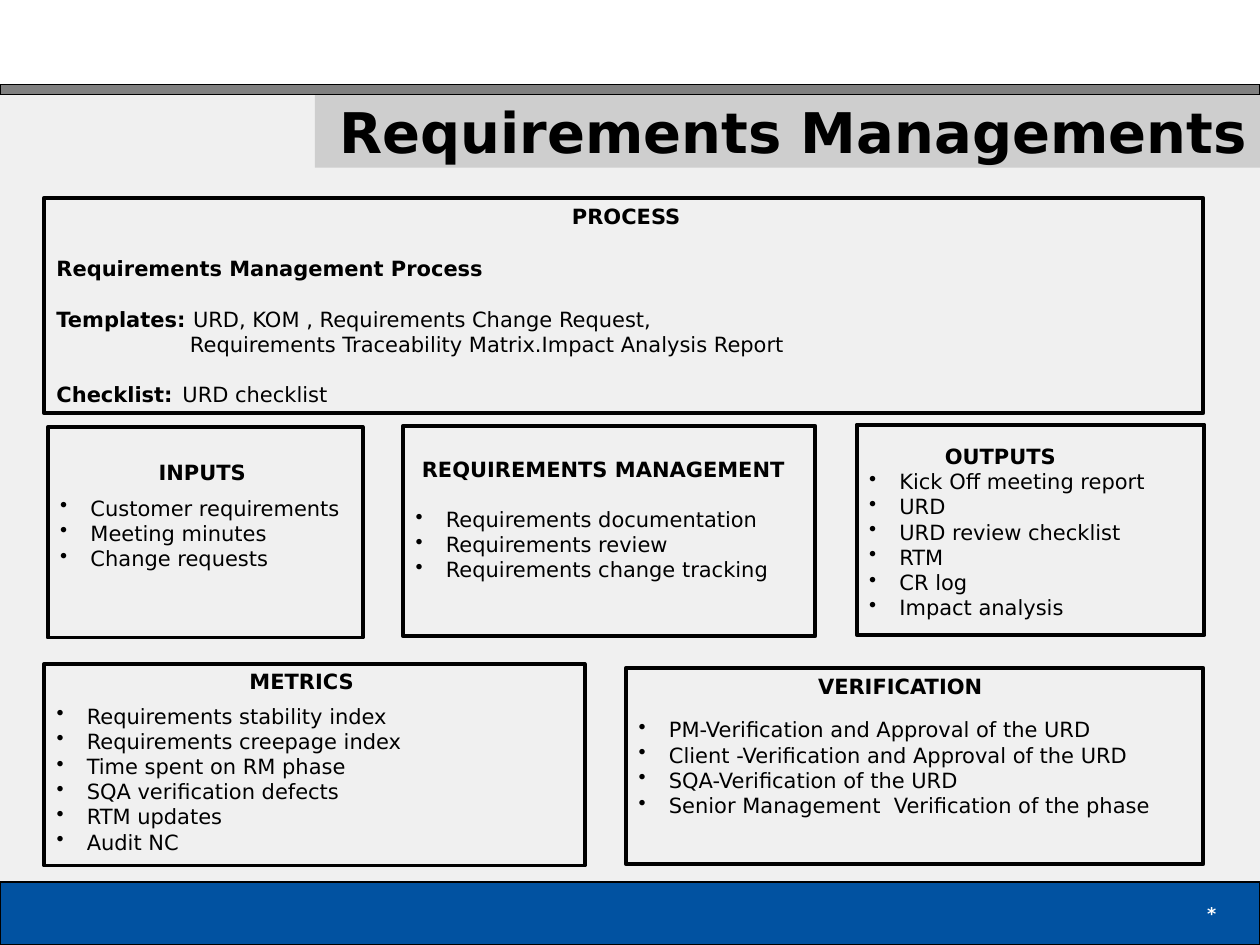
from dataclasses import dataclass

from lxml import etree
from pptx import Presentation
from pptx.dml.color import RGBColor
from pptx.enum.shapes import MSO_SHAPE
from pptx.enum.text import MSO_ANCHOR, PP_ALIGN
from pptx.oxml.ns import qn
from pptx.util import Inches, Pt

RECTANGLE = MSO_SHAPE.RECTANGLE
TOP, MIDDLE = MSO_ANCHOR.TOP, MSO_ANCHOR.MIDDLE
LEFT, CENTER, RIGHT = PP_ALIGN.LEFT, PP_ALIGN.CENTER, PP_ALIGN.RIGHT


@dataclass(frozen=True)
class Theme:
    font: str = "DejaVu Sans"
    background: str = "F0F0F0"
    white: str = "FFFFFF"
    black: str = "000000"
    footer: str = "0152A1"
    title_band: str = "CECECE"
    rule: str = "808080"
    title_size: int = 32
    body_size: int = 12
    footer_size: int = 10
    thin_line: float = 0.75
    panel_line: float = 2.25


@dataclass
class Line:
    """One paragraph; spans are (text, bold) pairs."""
    spans: list
    align: PP_ALIGN = LEFT
    bullet: bool = False
    indent: float = 0
    tab: float = 0
    before: float = 0


def bullets(*texts):
    return [Line([(text, False)], bullet=True) for text in texts]


class SlideBuilder:
    bullet_indent = 0.24

    def __init__(self, slide, theme):
        self.slide = slide
        self.theme = theme
        slide.background.fill.solid()
        slide.background.fill.fore_color.rgb = RGBColor.from_string(theme.background)

    def rectangle(self, place, fill=None, line_width=0):
        box = self.slide.shapes.add_shape(RECTANGLE, *map(Inches, place))
        box.shadow.inherit = False
        if fill:
            box.fill.solid()
            box.fill.fore_color.rgb = RGBColor.from_string(fill)
        else:
            box.fill.background()
        if line_width:
            box.line.color.rgb = RGBColor.from_string(self.theme.black)
            box.line.width = Pt(line_width)
        else:
            box.line.fill.background()
        return box

    def label(self, place, text, align=CENTER, anchor=TOP, size=None, color=None):
        box = self.slide.shapes.add_textbox(*map(Inches, place))
        self.add_text(box, [Line([(text, True)], align)], anchor, size, color)

    def panel(self, place, lines, text_top):
        box = self.rectangle(place, line_width=self.theme.panel_line)
        box.text_frame.margin_top = Inches(text_top)
        self.add_text(box, lines)

    def add_text(self, box, lines, anchor=TOP, size=None, color=None):
        frame = box.text_frame
        frame.word_wrap = True
        frame.vertical_anchor = anchor
        for index, line in enumerate(lines):
            para = frame.add_paragraph() if index else frame.paragraphs[0]
            para.alignment = line.align
            para.space_before = Inches(line.before)
            self.set_indents(para, line)
            font = para.font
            font.name = self.theme.font
            font.size = Pt(size or self.theme.body_size)
            font.color.rgb = RGBColor.from_string(color or self.theme.black)
            mixed = len(line.spans) > 1
            if not mixed:
                font.bold = line.spans[0][1]
            for text, bold in line.spans:
                span = para.add_run()
                span.text = text
                if mixed:
                    span.font.bold = bold

    def set_indents(self, para, line):
        properties = para._p.get_or_add_pPr()
        hanging = self.bullet_indent if line.bullet else 0
        properties.set("marL", str(Inches(line.indent + hanging)))
        properties.set("indent", str(-Inches(hanging)))
        if line.bullet:
            etree.SubElement(properties, qn("a:buChar"), char="•")
        if line.tab:
            stops = etree.SubElement(properties, qn("a:tabLst"))
            etree.SubElement(stops, qn("a:tab"), pos=str(Inches(line.tab)), algn="l")


def add_frame(page, theme):
    page.rectangle((0, 7, 10, 0.5), theme.footer, theme.thin_line)
    page.label((7.67, 7, 2.08, 0.5), "*", RIGHT, MIDDLE, theme.footer_size, theme.white)
    title = page.rectangle((2.5, 0.75, 7.5, 0.58), theme.title_band)
    page.add_text(title, [Line([("Requirements Managements", True)], RIGHT)],
                  MIDDLE, theme.title_size)
    page.rectangle((0, 0, 10, 0.67), theme.white)
    page.rectangle((0, 0.67, 10, 0.08), theme.rule, theme.thin_line)


def add_panels(page):
    gap = 0.2
    process = [
        Line([("Requirements Management Process", True)]),
        Line([("Templates: ", True), ("URD, KOM , Requirements Change Request,", False)],
             before=gap),
        Line([("Requirements Traceability Matrix.Impact Analysis Report", False)],
             indent=1.06),
        Line([("Checklist: \t", True), ("URD checklist", False)], tab=1, before=gap),
    ]
    metrics = bullets("Requirements stability index", "Requirements creepage index",
                      "Time spent on RM phase", "SQA verification defects",
                      "RTM updates", "Audit NC")
    verification = bullets("PM-Verification and Approval of the URD",
                           "Client -Verification and Approval of the URD",
                           "SQA-Verification of the URD",
                           "Senior Management  Verification of the phase")
    activities = bullets("Requirements documentation", "Requirements review",
                         "Requirements change tracking")
    activities[0].before = gap
    management = [Line([("REQUIREMENTS MANAGEMENT", True)], indent=0.05)] + activities
    inputs = bullets("Customer requirements", "Meeting minutes", "Change requests")
    outputs = bullets("Kick Off meeting report", "URD", "URD review checklist",
                      "RTM", "CR log", "Impact analysis")

    for place, lines, text_top in (
        ((0.35, 5.27, 4.29, 1.6), metrics, 0.31),
        ((0.35, 1.57, 9.2, 1.71), process, 0.46),
        ((4.97, 5.3, 4.58, 1.56), verification, 0.39),
        ((3.2, 3.38, 3.27, 1.67), management, 0.24),
        ((0.38, 3.39, 2.5, 1.67), inputs, 0.54),
        ((6.8, 3.37, 2.76, 1.67), outputs, 0.35),
    ):
        page.panel(place, lines, text_top)

    for text, left, top, width, align in (
        ("PROCESS", 4.43, 1.57, 1.08, CENTER),
        ("METRICS", 1.81, 5.26, 1.17, CENTER),
        ("OUTPUTS", 7.4, 3.47, 1.17, LEFT),
        ("INPUTS", 1.02, 3.6, 1.17, CENTER),
        ("VERIFICATION", 6.31, 5.3, 1.67, CENTER),
    ):
        page.label((left, top, width, 0.3), text, align)


def main():
    theme = Theme()
    deck = Presentation()
    deck.slide_width, deck.slide_height = Inches(10), Inches(7.5)
    page = SlideBuilder(deck.slides.add_slide(deck.slide_layouts[6]), theme)
    add_frame(page, theme)
    add_panels(page)
    deck.save("out.pptx")


if __name__ == "__main__":
    main()
